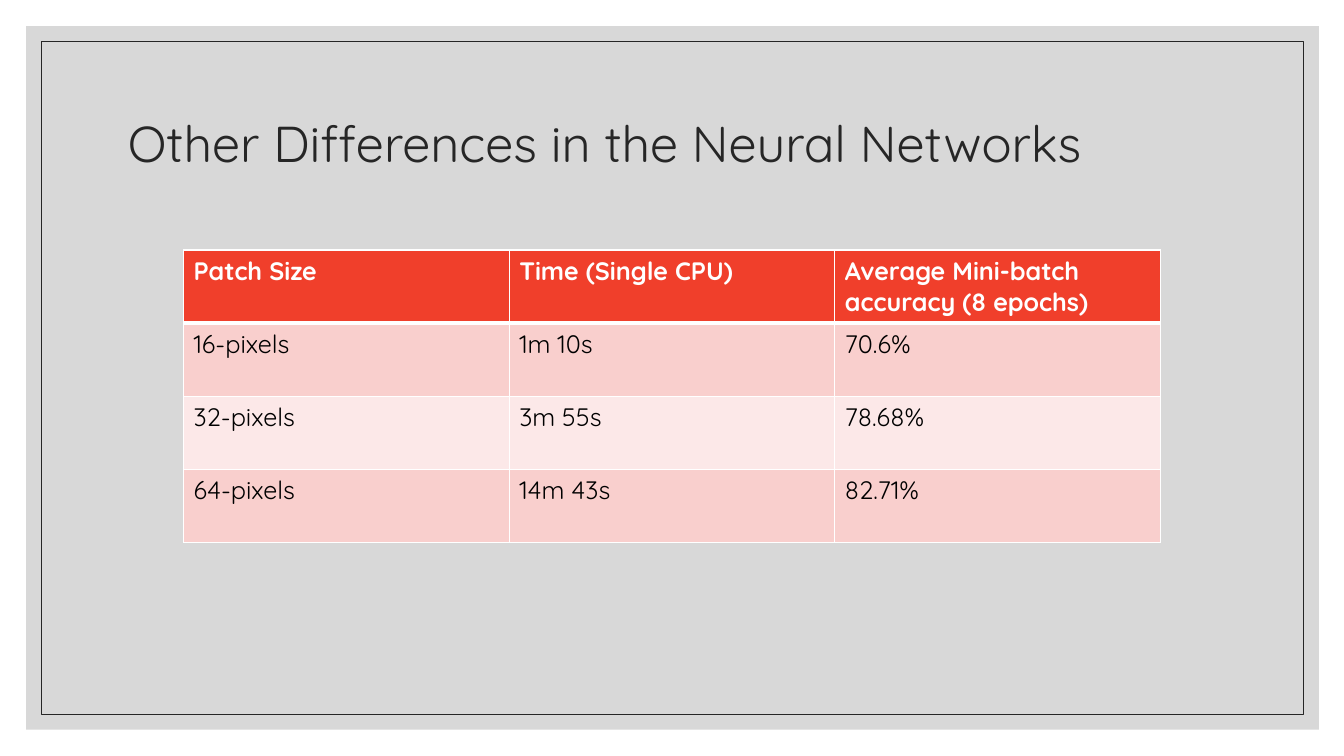
from lxml import etree
from pptx import Presentation
from pptx.dml.color import RGBColor
from pptx.enum.shapes import MSO_SHAPE
from pptx.enum.text import MSO_ANCHOR
from pptx.oxml.ns import qn
from pptx.util import Pt

PX = 9144
FONT = "Quicksand"
RECTANGLE = MSO_SHAPE.RECTANGLE
MIDDLE = MSO_ANCHOR.MIDDLE

WHITE = RGBColor(0xFF, 0xFF, 0xFF)
BLACK = RGBColor(0x00, 0x00, 0x00)
GRAY = RGBColor(0xBF, 0xBF, 0xBF)
CHARCOAL = RGBColor(0x26, 0x26, 0x26)
RED = RGBColor(0xF0, 0x3F, 0x2B)
PINK = RGBColor(0xF9, 0xCF, 0xCD)
PALE_PINK = RGBColor(0xFC, 0xE8, 0xE8)

PAGE_SIZE = (1333, 750)
PANEL_BOX = (26, 26, 1282, 698)
TITLE_BOX = (117, 70, 1100, 150)
TABLE_BOX = (182, 248, 969, 290)
FRAME_INSET = 15

TITLE = "Other Differences in the Neural Networks"
RESULTS = [
    ("Patch Size", "Time (Single CPU)", "Average Mini-batch accuracy (8 epochs)"),
    ("16-pixels", "1m 10s", "70.6%"),
    ("32-pixels", "3m 55s", "78.68%"),
    ("64-pixels", "14m 43s", "82.71%"),
]


def to_emu(box):
    """Turn a box in px into EMU lengths."""
    return [length * PX for length in box]


def add_span(para, text, size, color, bold=False):
    """Add one styled run to a paragraph."""
    span = para.add_run()
    span.text = text
    span.font.name = FONT
    span.font.size = Pt(size)
    span.font.bold = bold
    span.font.color.rgb = color


def add_backdrop(page, box):
    """Draw the translucent panel and the thin frame inside it."""
    panel = page.shapes.add_shape(RECTANGLE, *to_emu(box))
    panel.shadow.inherit = False
    panel.fill.solid()
    panel.fill.fore_color.rgb = GRAY
    panel.line.fill.background()
    tint = panel.fill._xPr.find(qn("a:solidFill"))[0]
    etree.SubElement(tint, qn("a:alpha"), val="60000")

    left, top, width, height = box
    inner = (left + FRAME_INSET, top + FRAME_INSET,
             width - 2 * FRAME_INSET, height - 2 * FRAME_INSET)
    frame = page.shapes.add_shape(RECTANGLE, *to_emu(inner))
    frame.shadow.inherit = False
    frame.fill.background()
    frame.line.color.rgb = CHARCOAL
    frame.line.width = Pt(0.5)


def add_title(page, box):
    """Place the heading, centred vertically in its box."""
    text_frame = page.shapes.add_textbox(*to_emu(box)).text_frame
    text_frame.word_wrap = True
    text_frame.vertical_anchor = MIDDLE
    para = text_frame.paragraphs[0]
    para.line_spacing = 0.9
    add_span(para, TITLE, 36, CHARCOAL)


def set_borders(cell, top, bottom):
    """Give a cell white borders, with top and bottom widths in points."""
    properties = cell._tc.get_or_add_tcPr()
    widths = {"a:lnL": 1, "a:lnR": 1, "a:lnT": top, "a:lnB": bottom}
    for position, (side, width) in enumerate(widths.items()):
        border = etree.Element(qn(side), w=str(Pt(width)))
        fill = etree.SubElement(border, qn("a:solidFill"))
        etree.SubElement(fill, qn("a:srgbClr"), val=str(WHITE))
        properties.insert(position, border)


def add_results(page, box):
    """Build the results table with a header and banded rows."""
    left, top, width, height = to_emu(box)
    row_count, column_count = len(RESULTS), len(RESULTS[0])
    table = page.shapes.add_table(
        row_count, column_count, left, top, width, height).table
    for row_index, values in enumerate(RESULTS):
        header = row_index == 0
        band = RED if header else PINK if row_index % 2 else PALE_PINK
        for column_index, value in enumerate(values):
            cell = table.cell(row_index, column_index)
            cell.fill.solid()
            cell.fill.fore_color.rgb = band
            set_borders(cell, 3 if row_index == 1 else 1, 3 if header else 1)
            add_span(cell.text_frame.paragraphs[0], value, 18,
                     WHITE if header else BLACK, header)


def main():
    """Build the deck and save it."""
    deck = Presentation()
    deck.slide_width, deck.slide_height = to_emu(PAGE_SIZE)
    page = deck.slides.add_slide(deck.slide_layouts[6])
    page.background.fill.solid()
    page.background.fill.fore_color.rgb = WHITE
    add_backdrop(page, PANEL_BOX)
    add_title(page, TITLE_BOX)
    add_results(page, TABLE_BOX)
    deck.save("out.pptx")


if __name__ == "__main__":
    main()
